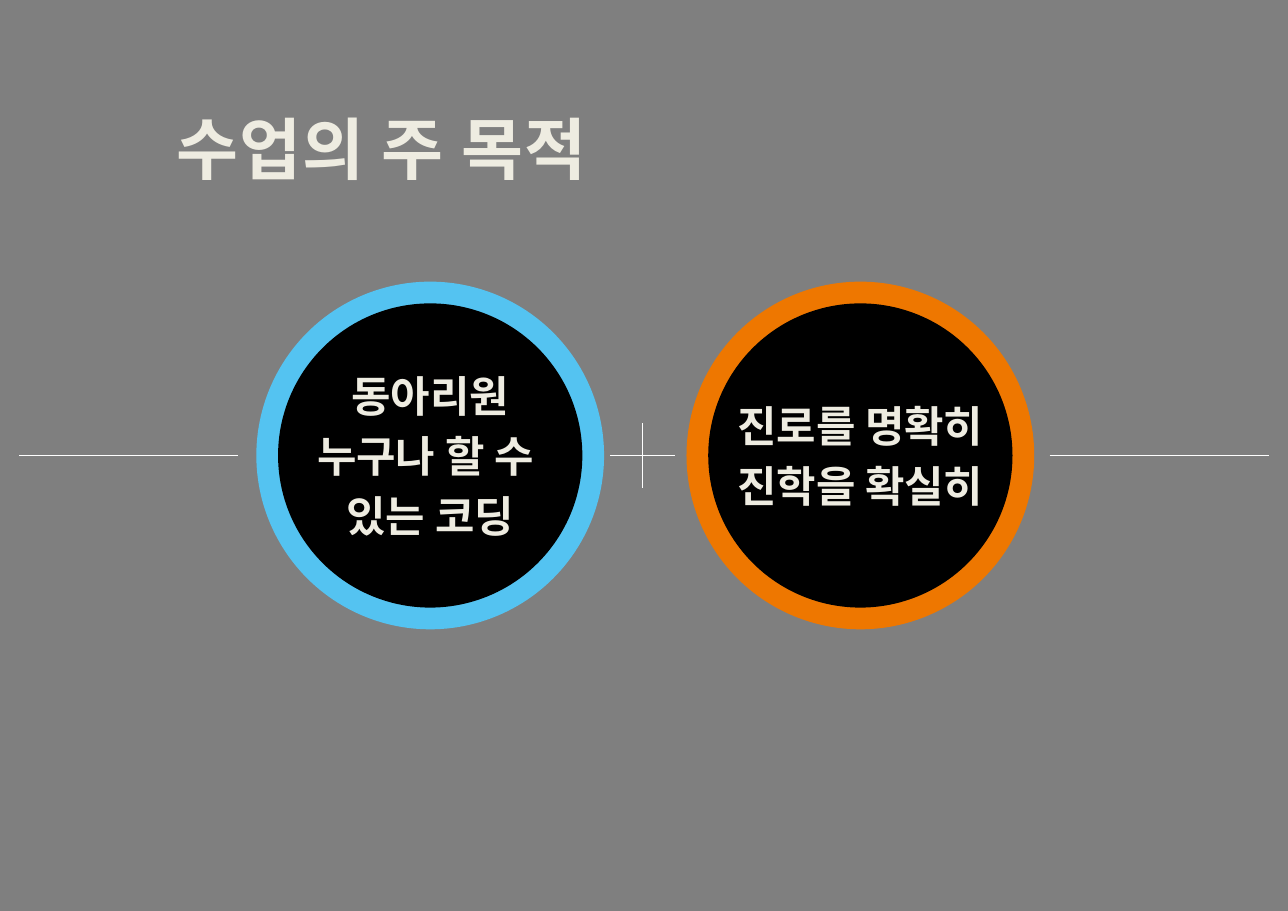
from collections import namedtuple

from lxml.etree import SubElement
from pptx import Presentation
from pptx.dml.color import RGBColor
from pptx.enum.shapes import MSO_CONNECTOR, MSO_SHAPE
from pptx.enum.text import MSO_ANCHOR, MSO_AUTO_SIZE, PP_ALIGN
from pptx.oxml.ns import qn
from pptx.util import Inches, Pt

Box = namedtuple("Box", "left top width height")
COLORS = {"veil": "000000", "disc": "000000", "line": "FFFFFF", "text": "EEECE1",
          "coding": "54C3F1", "career": "EE7700"}
FONT = "Noto Sans CJK KR"
SLIDE = Box(0, 0, Inches(11.69), Inches(8.27))


def share(box, left, top, width, height):
    """Return the part of a box given by shares of its size."""
    return Box(int(box.left + left * box.width), int(box.top + top * box.height),
               int(width * box.width), int(height * box.height))


def square(box, center_x, side):
    """Return a square centred on the box's middle line, sized by the box's width."""
    length = side * box.width
    return Box(int(box.left + center_x * box.width - length / 2),
               int(box.top + (box.height - length) / 2), int(length), int(length))


def add_filled(shapes, kind, box, color):
    """Add a plain shape without outline or shadow."""
    shape = shapes.add_shape(kind, *box)
    shape.shadow.inherit = False
    shape.fill.solid()
    shape.fill.fore_color.rgb = RGBColor.from_string(COLORS[color])
    shape.line.fill.background()
    return shape


def add_line(shapes, box):
    """Add a thin line from the box's first corner to its last."""
    line = shapes.add_connector(MSO_CONNECTOR.STRAIGHT, box.left, box.top,
                                box.left + box.width, box.top + box.height)
    line.line.color.rgb = RGBColor.from_string(COLORS["line"])
    line.line.width = Pt(0.5)
    SubElement(line.element.spPr, qn("a:effectLst"))


def write(shape, lines, size, align, anchor):
    """Write bold paragraphs into a shape without insets."""
    frame = shape.text_frame
    frame.word_wrap = True
    frame.auto_size = MSO_AUTO_SIZE.NONE
    frame.vertical_anchor = anchor
    frame.margin_left = frame.margin_right = frame.margin_top = frame.margin_bottom = 0
    for index, line in enumerate(lines):
        para = frame.paragraphs[0] if index == 0 else frame.add_paragraph()
        para.alignment = align
        para.space_before = Pt(0.2 * size)
        span = para.add_run()
        span.text = line
        span.font.size = Pt(size)
        span.font.bold = True
        span.font.name = FONT
        span.font.color.rgb = RGBColor.from_string(COLORS["text"])
        SubElement(span.font._element, qn("a:ea"), typeface=FONT)


def add_veil(page, box):
    """Lay a half-transparent veil behind everything else."""
    veil = add_filled(page.shapes, MSO_SHAPE.RECTANGLE, box, "veil")
    color = veil.element.spPr.find(qn("a:solidFill"))[0]
    SubElement(color, qn("a:alpha"), val="50000")
    page.shapes.title.element.addprevious(veil.element)


def add_title(page, box, text):
    """Place and format the slide title."""
    title = page.shapes.title
    title.left, title.top, title.width, title.height = box
    write(title, [text], 44, PP_ALIGN.LEFT, MSO_ANCHOR.TOP)
    para = title.text_frame.paragraphs[0]
    para.line_spacing = Pt(26)
    para.runs[0].font._element.set("spc", "70")


def add_purpose(page, box, color, lines):
    """Draw a ringed disc with its centred text."""
    ring = page.shapes.add_group_shape()
    add_filled(ring.shapes, MSO_SHAPE.OVAL, box, color)
    add_filled(ring.shapes, MSO_SHAPE.OVAL, square(box, 0.5, 0.875), "disc")
    label = page.shapes.add_textbox(*share(box, 0.12, 0.15, 0.76, 0.7))
    write(label, lines, 28, PP_ALIGN.CENTER, MSO_ANCHOR.MIDDLE)


def add_plus(page, box):
    """Draw a plus sign from two crossing lines."""
    plus = page.shapes.add_group_shape()
    add_line(plus.shapes, share(box, 0, 0.5, 1, 0))
    add_line(plus.shapes, share(box, 0.5, 0, 0, 1))


def add_purposes(page, box):
    """Arrange the side lines, both purposes and the plus between them."""
    for left in (0.015, 0.815):
        add_line(page.shapes, share(box, left, 0.5, 0.17, 0))
    add_purpose(page, square(box, 0.334, 0.27), "coding",
                ["동아리원", "누구나 할 수 ", "있는 코딩"])
    add_plus(page, square(box, 0.499, 0.05))
    add_purpose(page, square(box, 0.668, 0.27), "career",
                ["진로를 명확히", "진학을 확실히"])


def main():
    """Build and save the deck."""
    deck = Presentation()
    deck.slide_width, deck.slide_height = SLIDE.width, SLIDE.height
    page = deck.slides.add_slide(deck.slide_layouts[5])
    add_veil(page, SLIDE)
    add_purposes(page, SLIDE)
    add_title(page, share(SLIDE, 0.137, 0.163, 0.413, 0.167), "수업의 주 목적")
    deck.save("out.pptx")


main()
